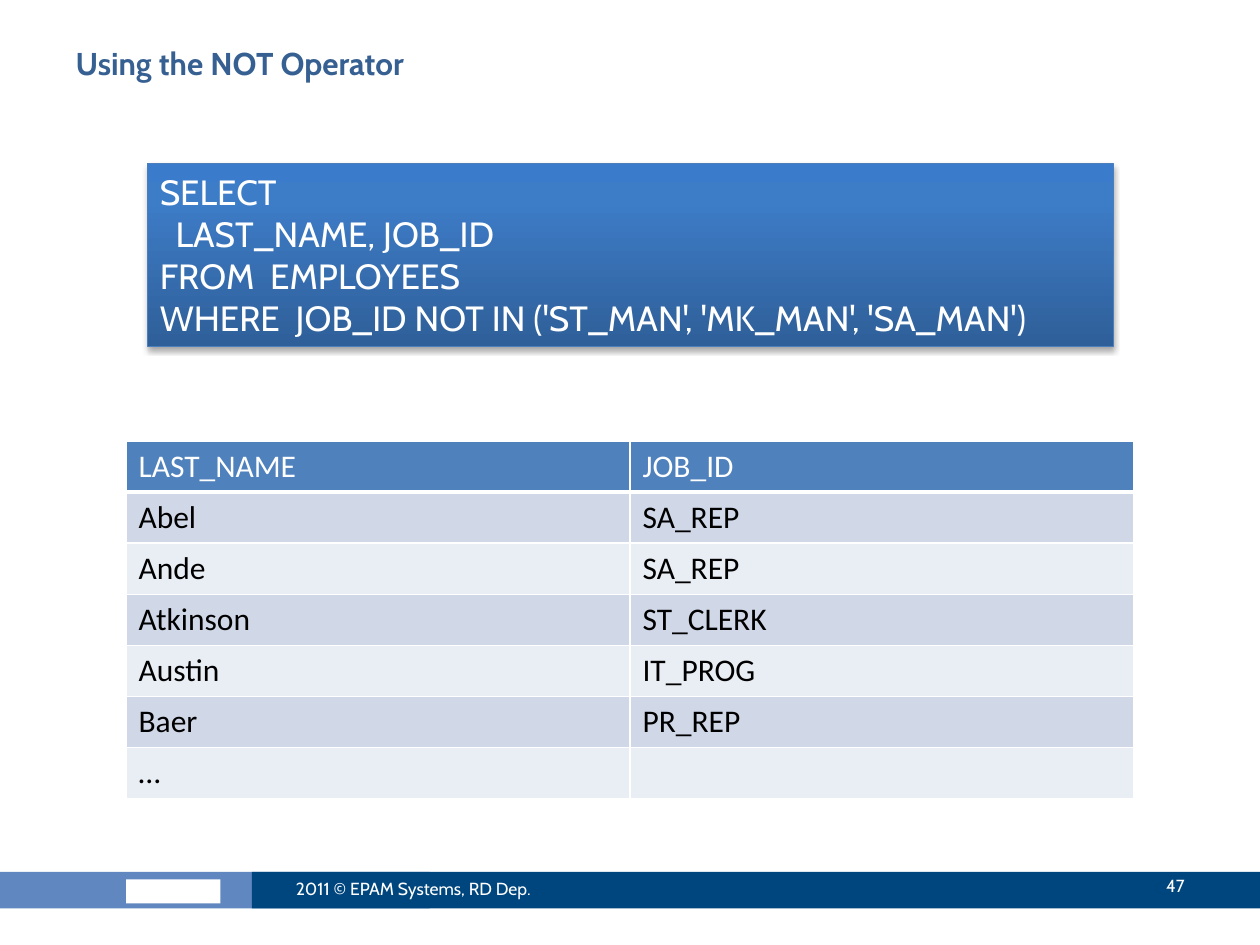
from dataclasses import dataclass

from lxml.etree import SubElement
from pptx import Presentation
from pptx.dml.color import RGBColor
from pptx.enum.shapes import MSO_SHAPE
from pptx.enum.text import MSO_ANCHOR, PP_ALIGN
from pptx.oxml.ns import qn
from pptx.util import Inches, Length, Pt

COLORS = {
    "title": "376092",
    "white": "FFFFFF",
    "black": "000000",
    "header": "4F81BD",
    "odd row": "D0D8E8",
    "even row": "E9EDF4",
    "light bar": "6087BF",
    "dark bar": "00467E",
    "code line": "4B7EBC",
}
CODE_GRADIENT = [(0, "2F5F99"), (80, "3D7CC7"), (100, "3A7CCB")]
GRID_COLUMNS, GRID_ROWS = 100, 75

CODE = """SELECT
  LAST_NAME, JOB_ID
FROM  EMPLOYEES
WHERE  JOB_ID NOT IN ('ST_MAN', 'MK_MAN', 'SA_MAN')"""

EMPLOYEES = [
    ("LAST_NAME", "JOB_ID"),
    ("Abel", "SA_REP"),
    ("Ande", "SA_REP"),
    ("Atkinson", "ST_CLERK"),
    ("Austin", "IT_PROG"),
    ("Baer", "PR_REP"),
    ("…", ""),
]

deck = Presentation()
deck.slide_width, deck.slide_height = Inches(10), Inches(7.5)


@dataclass(frozen=True)
class Frame:
    column: float
    row: float
    columns: float
    rows: float

    def lengths(self) -> list[Length]:
        across = deck.slide_width / GRID_COLUMNS
        down = deck.slide_height / GRID_ROWS
        return [
            Length(round(self.column * across)),
            Length(round(self.row * down)),
            Length(round(self.columns * across)),
            Length(round(self.rows * down)),
        ]


@dataclass(frozen=True)
class Bar:
    frame: Frame
    color: str


@dataclass(frozen=True)
class FooterText:
    frame: Frame
    text: str
    align: PP_ALIGN


BARS = [
    Bar(Frame(0, 69.2, 34.1, 2.9), "light bar"),
    Bar(Frame(10, 69.8, 7.5, 1.9), "white"),
    Bar(Frame(20, 69.2, 80, 2.9), "dark bar"),
]
FOOTER_TEXTS = [
    FooterText(Frame(22.5, 68.5, 26.7, 4), "2011 © EPAM Systems, RD Dep.", PP_ALIGN.LEFT),
    FooterText(Frame(84.2, 68.3, 10.8, 4), "47", PP_ALIGN.RIGHT),
]


def rgb(name: str) -> RGBColor:
    return RGBColor.from_string(COLORS[name])


def format_text(text_frame, size: int, color: str, name: str = "Cabin",
                bold: bool = False, align: PP_ALIGN = PP_ALIGN.LEFT) -> None:
    for para in text_frame.paragraphs:
        para.alignment = align
        for span in para.runs:
            span.font.name = name
            span.font.size = Pt(size)
            span.font.bold = bold
            span.font.color.rgb = rgb(color)


def add_bar(page, bar: Bar) -> None:
    box = page.shapes.add_shape(MSO_SHAPE.RECTANGLE, *bar.frame.lengths())
    box.shadow.inherit = False
    box.fill.solid()
    box.fill.fore_color.rgb = rgb(bar.color)
    box.line.fill.background()


def add_title(page, frame: Frame, text: str) -> None:
    title = page.shapes.title
    title.left, title.top, title.width, title.height = frame.lengths()
    title.text_frame.text = text
    title.text_frame.vertical_anchor = MSO_ANCHOR.TOP
    format_text(title.text_frame, 18, "title", bold=True)


def add_footer_text(page, footer: FooterText) -> None:
    box = page.shapes.add_textbox(*footer.frame.lengths())
    box.text_frame.word_wrap = True
    box.text_frame.vertical_anchor = MSO_ANCHOR.MIDDLE
    box.text_frame.text = footer.text
    format_text(box.text_frame, 10, "white", align=footer.align)


def set_gradient(box, stops: list[tuple[int, str]]) -> None:
    box.fill.gradient()
    box.fill.gradient_angle = 90
    stop_list = box.element.spPr.find(qn("a:gradFill")).find(qn("a:gsLst"))
    stop_list.clear()
    for position, color in stops:
        stop = SubElement(stop_list, qn("a:gs"), pos=str(position * 1000))
        SubElement(stop, qn("a:srgbClr"), val=color)


def set_shadow(box) -> None:
    box.shadow.inherit = False
    effects = box.element.spPr.find(qn("a:effectLst"))
    shadow = SubElement(effects, qn("a:outerShdw"), blurRad=str(Pt(3.1)),
                        dist=str(Pt(1.8)), dir="5400000", rotWithShape="0")
    color = SubElement(shadow, qn("a:srgbClr"), val=COLORS["black"])
    SubElement(color, qn("a:alpha"), val="35000")


def add_code(page, frame: Frame, code: str) -> None:
    box = page.shapes.add_shape(MSO_SHAPE.RECTANGLE, *frame.lengths())
    set_gradient(box, CODE_GRADIENT)
    box.line.color.rgb = rgb("code line")
    box.line.width = Pt(0.75)
    set_shadow(box)
    box.text_frame.word_wrap = True
    box.text_frame.vertical_anchor = MSO_ANCHOR.TOP
    box.text_frame.text = code
    format_text(box.text_frame, 20, "white")


def set_borders(cell, bottom: int) -> None:
    properties = cell._tc.get_or_add_tcPr()
    for side, width in {"L": 1, "R": 1, "T": 1, "B": bottom}.items():
        line = SubElement(properties, qn(f"a:ln{side}"), w=str(Pt(width)))
        SubElement(SubElement(line, qn("a:solidFill")), qn("a:srgbClr"), val=COLORS["white"])


def add_employees(page, frame: Frame, records: list[tuple[str, str]]) -> None:
    table = page.shapes.add_table(len(records), len(records[0]), *frame.lengths()).table
    for row, record in enumerate(records):
        is_header = row == 0
        fill = "header" if is_header else "odd row" if row % 2 else "even row"
        for column, text in enumerate(record):
            cell = table.cell(row, column)
            set_borders(cell, 3 if is_header else 1)
            cell.fill.solid()
            cell.fill.fore_color.rgb = rgb(fill)
            cell.text_frame.text = text
            format_text(cell.text_frame, 18, "white" if is_header else "black", "Calibri")
    table.rows[0].cells[0].vertical_anchor = MSO_ANCHOR.TOP


def main() -> None:
    page = deck.slides.add_slide(deck.slide_layouts[5])
    for bar in BARS:
        add_bar(page, bar)
    add_title(page, Frame(5, 3, 90, 7.8), "Using the NOT Operator")
    add_employees(page, Frame(10, 35, 80, 28.4), EMPLOYEES)
    for footer in FOOTER_TEXTS:
        add_footer_text(page, footer)
    add_code(page, Frame(11.7, 13, 76.7, 14.5), CODE)
    deck.save("out.pptx")


if __name__ == "__main__":
    main()
